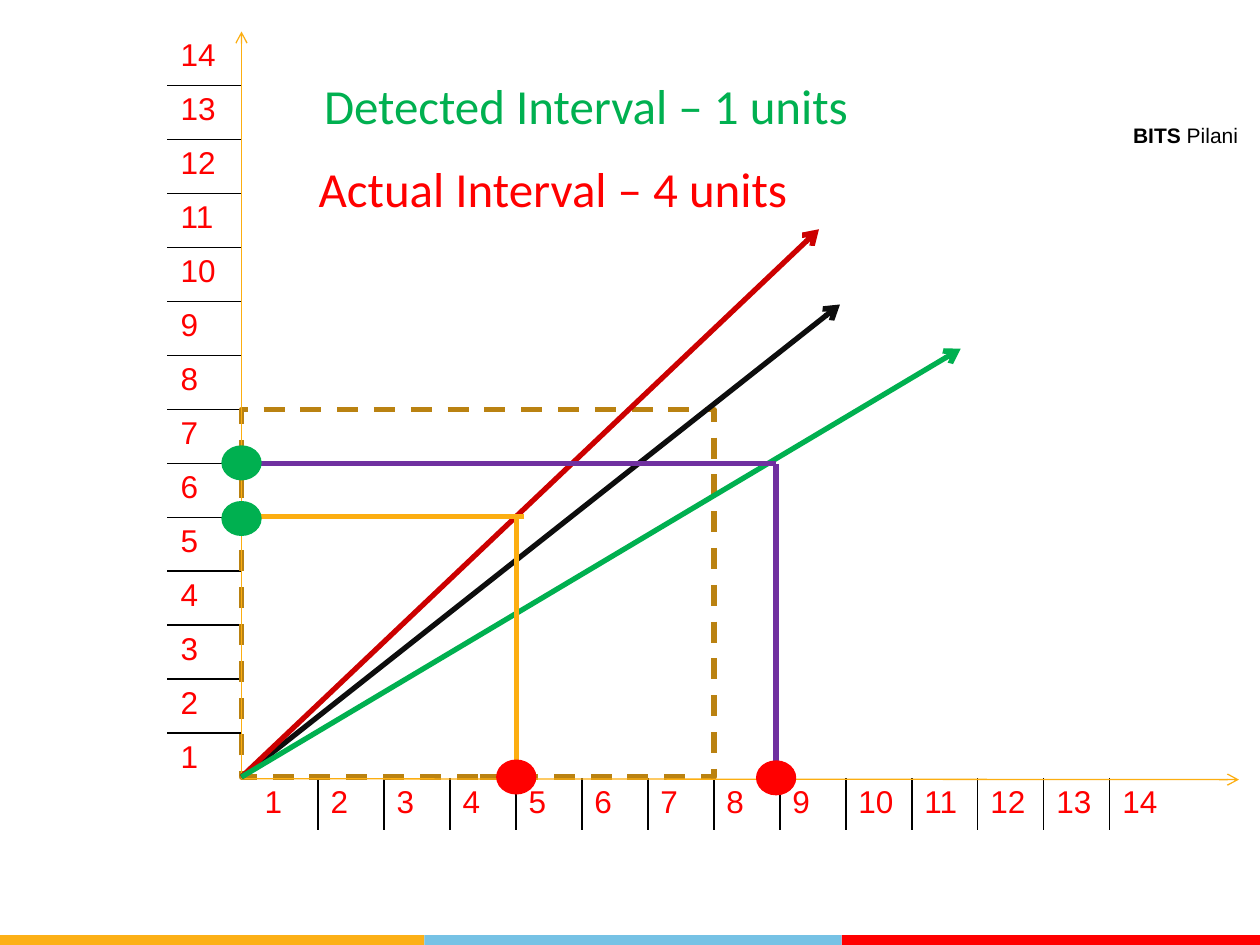
"""Build a slide of detected and actual intervals on a space-time diagram."""
from lxml import etree
from pptx import Presentation
from pptx.dml.color import RGBColor
from pptx.enum.dml import MSO_LINE
from pptx.enum.shapes import MSO_CONNECTOR, MSO_SHAPE
from pptx.enum.text import MSO_ANCHOR, MSO_AUTO_SIZE, PP_ALIGN
from pptx.oxml.ns import qn
from pptx.util import Pt


def paint(fill, color):
    fill.solid()
    fill.fore_color.rgb = RGBColor.from_string(color)


def style_font(font, name, size, color, bold=False):
    values = {"name": name, "size": Pt(size), "bold": bold}
    for attribute, value in values.items():
        setattr(font, attribute, value)
    paint(font.fill, color)


RED, GREEN, AMBER, PURPLE = "FF0000", "00B050", "FCAE11", "7030A0"
BLACK, WHITE = "000000", "FFFFFF"
STEPS = 14
ORIGIN_X, ORIGIN_Y = 138, 444

deck = Presentation()
deck.slide_width, deck.slide_height = Pt(720), Pt(540)
slide = deck.slides.add_slide(deck.slide_layouts[5])
shapes = slide.shapes

footer_bands = [(0, 242.5, "FCB017"), (242.5, 238.5, "76C2E5"), (481, 239, RED)]
for left, width, color in footer_bands:
    band = shapes.add_shape(MSO_SHAPE.RECTANGLE, Pt(left), Pt(534.3), Pt(width), Pt(5.7))
    band.shadow.inherit = False
    paint(band.fill, color)
    band.line.fill.background()

university = shapes.add_textbox(Pt(637.2), Pt(66.5), Pt(80.6), Pt(21))
university.text_frame.word_wrap = True
university_line = university.text_frame.paragraphs[0]
university_line.alignment = PP_ALIGN.CENTER
for word, bold in [("BITS", True), (" Pilani", False)]:
    run = university_line.add_run()
    run.text = word
    style_font(run.font, "Arial", 12, BLACK, bold)

scales = [
    (STEPS, 1, 96, 18, 42, 432, range(STEPS, 0, -1)),
    (1, STEPS, 144, 445, 528, 28.8, range(1, STEPS + 1)),
]
for rows, columns, left, top, width, height, numbers in scales:
    scale = shapes.add_table(rows, columns, Pt(left), Pt(top), Pt(width), Pt(height)).table
    scale.first_row = scale.horz_banding = False
    for column in scale.columns:
        column.width = Pt(width / columns)
    for row in scale.rows:
        row.height = Pt(height / rows)
    upright = columns == 1
    for index, (cell, number) in enumerate(zip(scale.iter_cells(), numbers)):
        cell.text = str(number)
        style_font(cell.text_frame.paragraphs[0].runs[0].font, "Arial", 18, RED)
        inner_sides = {
            "lnL": not upright and index > 0,
            "lnR": not upright and index < STEPS - 1,
            "lnT": upright and index > 0,
            "lnB": upright and index < STEPS - 1,
        }
        properties = cell._tc.get_or_add_tcPr()
        for side, inner in inner_sides.items():
            border = etree.SubElement(properties, qn(f"a:{side}"), w=str(Pt(1)))
            solid = etree.SubElement(border, qn("a:solidFill"))
            etree.SubElement(solid, qn("a:srgbClr"), val=BLACK if inner else WHITE)
        cell.fill.background()

dashed_square = shapes.add_shape(
    MSO_SHAPE.RECTANGLE, Pt(ORIGIN_X), Pt(234), Pt(270), Pt(210))
dashed_square.shadow.inherit = False
dashed_square.fill.background()
paint(dashed_square.line.fill, "BA8211")
dashed_square.line.width = Pt(3)
dashed_square.line.dash_style = MSO_LINE.DASH

lines = [
    (ORIGIN_X, ORIGIN_Y, ORIGIN_X, 18, AMBER, 0.75, True),
    (ORIGIN_X, 445, 708, 445.5, AMBER, 0.75, True),
    (ORIGIN_X, ORIGIN_Y, 480, 174, "0D0D0D", 3, True),
    (ORIGIN_X, ORIGIN_Y, 468, 131, "CC0000", 3, True),
    (ORIGIN_X, ORIGIN_Y, 549, 199.3, GREEN, 3, True),
    (295, 450, 295, 295, AMBER, 3, False),
    (299.5, 295, ORIGIN_X, 295, AMBER, 3, False),
    (443.5, ORIGIN_Y, 443.5, 265, PURPLE, 3, False),
    (443.5, 265, ORIGIN_X, 265, PURPLE, 3, False),
]
for x1, y1, x2, y2, color, weight, has_arrow in lines:
    line = shapes.add_connector(MSO_CONNECTOR.STRAIGHT, Pt(x1), Pt(y1), Pt(x2), Pt(y2))
    paint(line.line.fill, color)
    line.line.width = Pt(weight)
    if has_arrow:
        etree.SubElement(line.line._get_or_add_ln(), qn("a:tailEnd"), type="arrow")
    etree.SubElement(line._element.spPr, qn("a:effectLst"))

events = [
    (ORIGIN_X, 296.3, GREEN),
    (295, 444, RED),
    (ORIGIN_X, 264.5, GREEN),
    (443.5, 444.5, RED),
]
for x, y, color in events:
    event = shapes.add_shape(MSO_SHAPE.OVAL, Pt(x - 10.5), Pt(y - 9), Pt(21), Pt(18))
    event.shadow.inherit = False
    paint(event.fill, color)
    paint(event.line.fill, color)
    event.line.width = Pt(2)

actual = shapes.add_textbox(Pt(175), Pt(83.5), Pt(337.7), Pt(48.2))
intervals = [
    (actual, 175, 83.5, "Actual Interval – 4 units", RED),
    (shapes.title, 178, 36, "Detected Interval – 1 units", GREEN),
]
for label, left, top, wording, color in intervals:
    place = {"left": left, "top": top, "width": 337.7, "height": 48.2}
    for attribute, value in place.items():
        setattr(label, attribute, Pt(value))
    frame = label.text_frame
    layout = {"word_wrap": True, "auto_size": MSO_AUTO_SIZE.NONE,
              "vertical_anchor": MSO_ANCHOR.BOTTOM}
    layout |= {f"margin_{side}": Pt(7.2) for side in ("left", "top", "right", "bottom")}
    for attribute, value in layout.items():
        setattr(frame, attribute, value)
    frame.text = wording
    frame.paragraphs[0].alignment = PP_ALIGN.LEFT
    style_font(frame.paragraphs[0].runs[0].font, "Calibri", 28, color)

deck.save("out.pptx")
